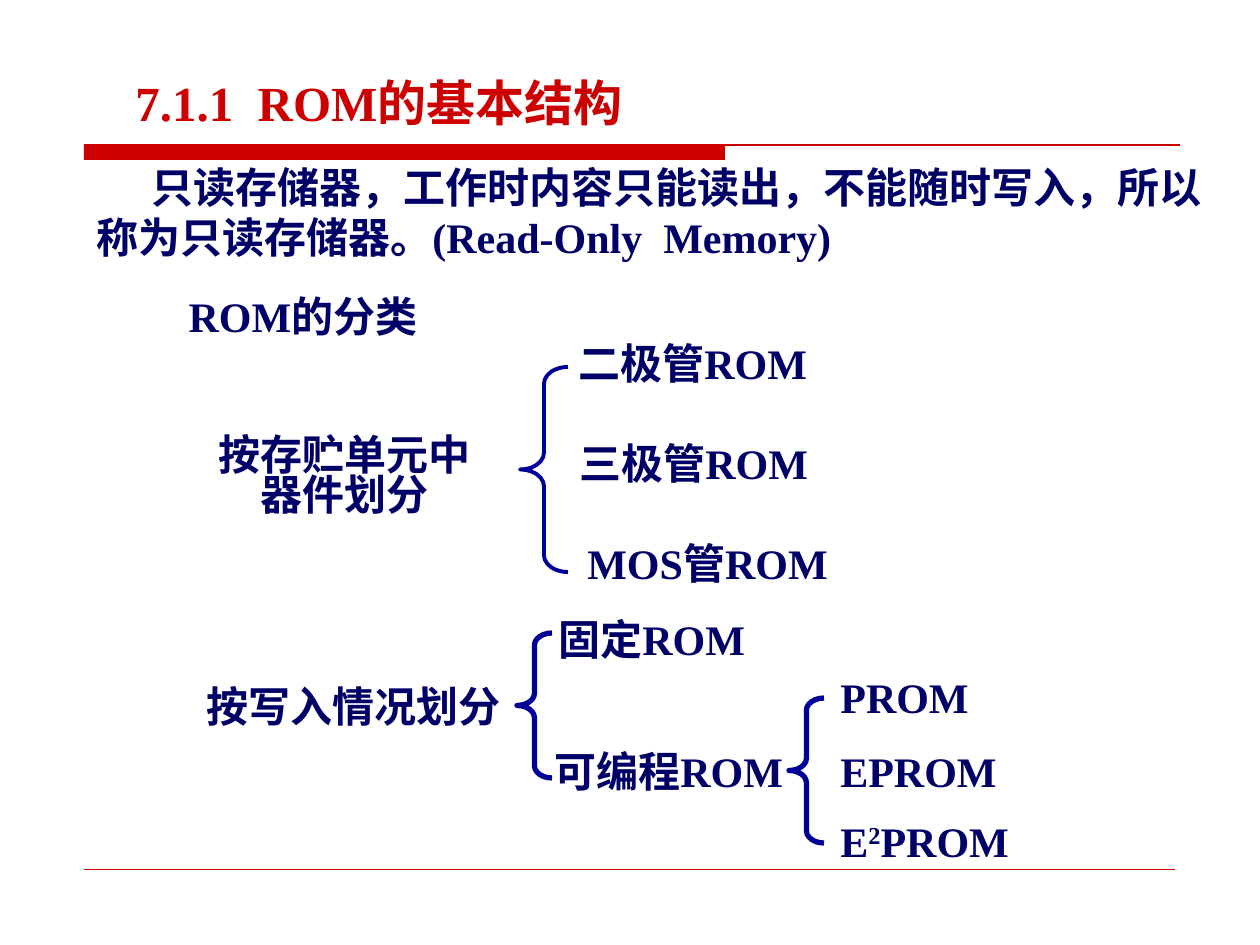
from dataclasses import dataclass
from lxml import etree
from pptx import Presentation
from pptx.dml.color import RGBColor
from pptx.enum.shapes import MSO_CONNECTOR, MSO_SHAPE
from pptx.enum.text import MSO_ANCHOR, MSO_AUTO_SIZE, PP_ALIGN
from pptx.oxml.ns import qn
from pptx.util import Pt

LINE = MSO_CONNECTOR.STRAIGHT
RECT = MSO_SHAPE.RECTANGLE
BRACE = MSO_SHAPE.LEFT_BRACE
TOP, BOTTOM = MSO_ANCHOR.TOP, MSO_ANCHOR.BOTTOM
LEFT, CENTER = PP_ALIGN.LEFT, PP_ALIGN.CENTER
GROW = MSO_AUTO_SIZE.SHAPE_TO_FIT_TEXT
SCALE = 914400 / 126


@dataclass(frozen=True)
class Theme:
    font: str = "Times New Roman"
    red: RGBColor = RGBColor(0xCC, 0x00, 0x00)
    ink: RGBColor = RGBColor(0x00, 0x00, 0x66)
    blue: RGBColor = RGBColor(0x00, 0x00, 0x99)
    title: int = 28
    body: int = 24


THEME = Theme()


def px(n):
    return round(n * SCALE)


def style(run, size, color):
    font = run.font
    font.name, font.size, font.bold = THEME.font, Pt(size), True
    font.color.rgb = color


def label(slide, box, text, size=THEME.body, color=THEME.ink,
          align=LEFT, anchor=TOP, lead=1.0):
    frame = slide.shapes.add_textbox(*map(px, box)).text_frame
    frame.text = text
    frame.word_wrap = True
    frame.auto_size = GROW
    frame.vertical_anchor = anchor
    para = frame.paragraphs[0]
    para.alignment = align
    para.line_spacing = lead
    for run in para.runs:
        style(run, size, color)
    return para


def rule(slide, x, y, width, weight):
    line = slide.shapes.add_connector(LINE, px(x), px(y), px(x + width), px(y))
    line.line.color.rgb = THEME.red
    line.line.width = Pt(weight)
    etree.SubElement(line._element.spPr, qn("a:effectLst"))


def brace(slide, box, weight):
    shape = slide.shapes.add_shape(BRACE, *map(px, box))
    shape.shadow.inherit = False
    shape.fill.background()
    shape.line.color.rgb = THEME.blue
    shape.line.width = Pt(weight)
    shape.adjustments[0] = 0.35


def header(slide, x, y, width):
    label(slide, (x + 39, y, 1017, 72), "7.1.1  ROM的基本结构",
          THEME.title, THEME.red, anchor=BOTTOM)
    bar = slide.shapes.add_shape(RECT, px(x), px(y + 79), px(641), px(15))
    bar.shadow.inherit = False
    bar.fill.solid()
    bar.fill.fore_color.rgb = THEME.red
    bar.line.fill.background()
    rule(slide, x, y + 79, width, 0.75)


def intro(slide, x, y, width):
    text = "只读存储器，工作时内容只能读出，不能随时写入，所以称为只读存储器。(Read-Only  Memory)"
    para = label(slide, (x, y, width, 122), text)
    para._p.get_or_add_pPr().set("indent", str(px(55)))
    label(slide, (x + 10, y + 129, 418, 63), "ROM的分类", align=CENTER)


def devices(slide, x, y):
    label(slide, (x, y + 101, 312, 93), "按存贮单元中器件划分", align=CENTER, lead=0.8)
    brace(slide, (x + 331, y + 36, 48, 205), 2.25)
    kinds = ((377, "二极管ROM"), (378, "三极管ROM"), (386, "MOS管ROM"))
    for row, (left, text) in enumerate(kinds):
        label(slide, (x + left, y + row * 100, 316, 63), text)


def writing(slide, x, y):
    items = (
        (0, 67, 384, "按写入情况划分"),
        (352, 0, 234, "固定ROM"),
        (348, 132, 292, "可编程ROM"),
        (634, 58, 234, "PROM"),
        (634, 132, 234, "EPROM"),
    )
    for left, top, width, text in items:
        label(slide, (x + left, y + top, width, 53), text, lead=0.8)
    para = label(slide, (x + 634, y + 202, 234, 53), "E", lead=0.8)
    for text in ("2", "PROM"):
        run = para.add_run()
        run.text = text
        style(run, THEME.body, THEME.ink)
    para.runs[1].font._element.set("baseline", "30000")
    for left, top in ((323, 16), (595, 81)):
        brace(slide, (x + left, y + top, 35, 145), 3)


def main():
    deck = Presentation()
    deck.slide_width, deck.slide_height = px(1260), px(945)
    slide = deck.slides.add_slide(deck.slide_layouts[6])
    header(slide, 84, 66, 1096)
    rule(slide, 84, 869, 1091, 0.25)
    intro(slide, 84, 155, 1138)
    devices(slide, 189, 331)
    writing(slide, 194, 617)
    deck.save("out.pptx")


if __name__ == "__main__":
    main()
